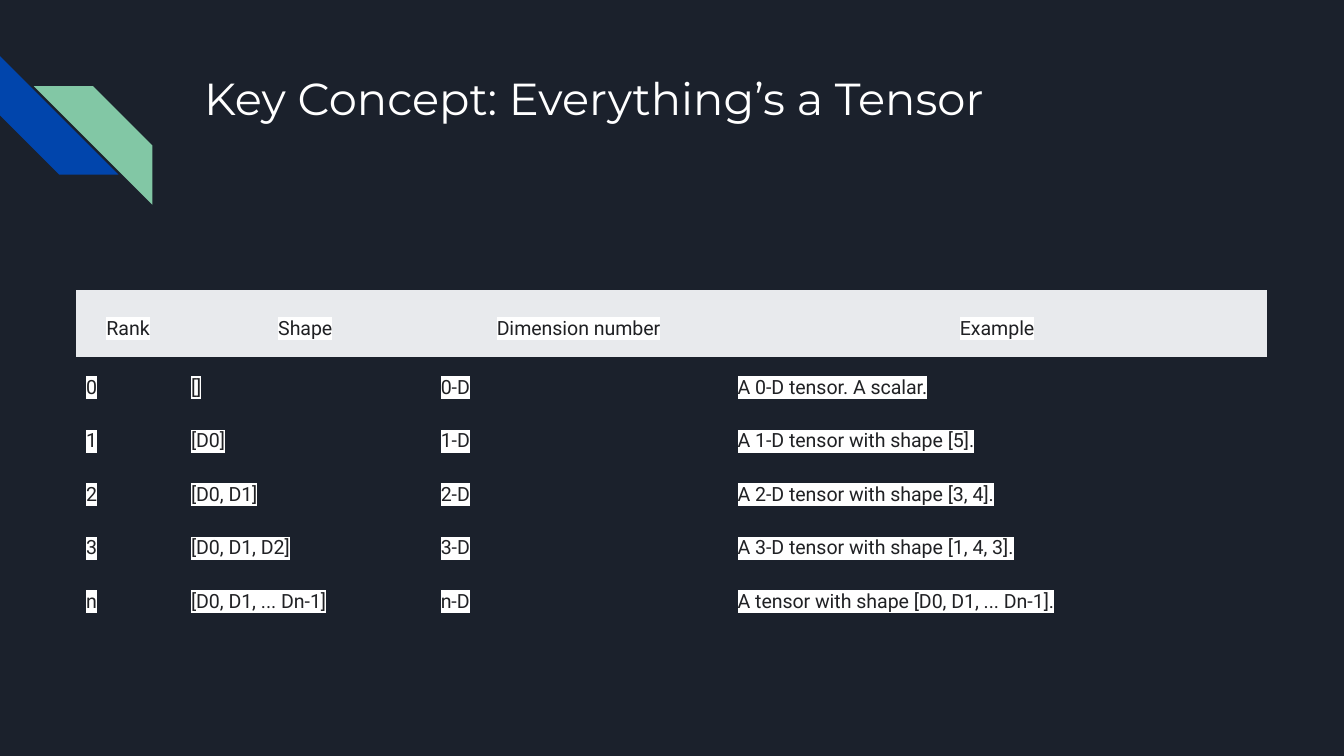
from dataclasses import dataclass

from lxml.etree import SubElement
from pptx import Presentation
from pptx.dml.color import RGBColor
from pptx.enum.shapes import MSO_SHAPE as Preset
from pptx.enum.text import MSO_ANCHOR as Anchor, PP_ALIGN as Align
from pptx.oxml.ns import qn
from pptx.util import Cm, Pt

COLORS = {
    "background": "1B212C",
    "blue": "0145AC",
    "green": "82C7A5",
    "white": "FFFFFF",
    "header": "E8EAED",
    "ink": "202124",
}
NO_GRID_STYLE = "{2D5ABB26-0587-4C30-8999-92F81FD0307C}"
COLUMN_WIDTHS = (1.98, 4.72, 5.61, 10.21)
HEADER_HEIGHT, ROW_HEIGHT = 1.27, 1.01
ROWS = (
    ("Rank", "Shape", "Dimension number", "Example"),
    ("0", "[]", "0-D", "A 0-D tensor. A scalar."),
    ("1", "[D0]", "1-D", "A 1-D tensor with shape [5]."),
    ("2", "[D0, D1]", "2-D", "A 2-D tensor with shape [3, 4]."),
    ("3", "[D0, D1, D2]", "3-D", "A 3-D tensor with shape [1, 4, 3]."),
    ("n", "[D0, D1, ... Dn-1]", "n-D", "A tensor with shape [D0, D1, ... Dn-1]."),
)


@dataclass
class Stripe:
    left: float
    top: float
    rotation: int
    color: str
    size: float = 2.24


STRIPES = (
    Stripe(0, 1.06, 270, "blue"),
    Stripe(0.64, 1.63, 90, "green"),
)


def rgb(name: str) -> RGBColor:
    return RGBColor.from_string(COLORS[name])


def style_font(font, face: str, size: float, color: str) -> None:
    font.name = face
    font.size = Pt(size)
    font.color.rgb = rgb(color)


def draw_stripe(page, stripe: Stripe) -> None:
    shape = page.shapes.add_shape(
        Preset.DIAGONAL_STRIPE, Cm(stripe.left), Cm(stripe.top),
        Cm(stripe.size), Cm(stripe.size))
    shape.rotation = stripe.rotation
    shape.shadow.inherit = False
    shape.fill.solid()
    shape.fill.fore_color.rgb = rgb(stripe.color)
    shape.line.fill.background()


def fill_cell(cell, text: str, is_header: bool) -> None:
    cell.margin_left = cell.margin_right = cell.margin_bottom = Cm(0.2)
    cell.margin_top = Cm(0.2 if is_header else 0.18)
    cell.vertical_anchor = Anchor.MIDDLE if is_header else Anchor.TOP
    if is_header:
        cell.fill.solid()
        cell.fill.fore_color.rgb = rgb("header")
    else:
        cell.fill.background()

    para = cell.text_frame.paragraphs[0]
    para.alignment = Align.CENTER if is_header else Align.LEFT
    para.line_spacing = 1.43
    style_font(para.font, "Roboto", 10.5, "ink")
    span = para.add_run()
    span.text = text
    highlight = SubElement(span.font._element, qn("a:highlight"))
    SubElement(highlight, qn("a:srgbClr"), val=COLORS["white"])


def draw_table(page, left: float, top: float) -> None:
    height = HEADER_HEIGHT + ROW_HEIGHT * (len(ROWS) - 1)
    frame = page.shapes.add_table(
        len(ROWS), len(COLUMN_WIDTHS), Cm(left), Cm(top),
        Cm(sum(COLUMN_WIDTHS)), Cm(height))
    table = frame.table
    table.first_row = table.horz_banding = False
    table._tbl.tblPr.find(qn("a:tableStyleId")).text = NO_GRID_STYLE
    for column, width in zip(table.columns, COLUMN_WIDTHS):
        column.width = Cm(width)
    for index, texts in enumerate(ROWS):
        is_header = index == 0
        table.rows[index].height = Cm(HEADER_HEIGHT if is_header else ROW_HEIGHT)
        for column, text in enumerate(texts):
            fill_cell(table.cell(index, column), text, is_header)


def draw_title(page, text: str) -> None:
    title = page.shapes.title
    title.left, title.top, title.width, title.height = (
        Cm(3.61), Cm(1.09), Cm(19.05), Cm(4.14))
    frame = title.text_frame
    frame.word_wrap = True
    frame.vertical_anchor = Anchor.TOP
    frame.margin_left = frame.margin_right = Cm(0.25)
    frame.margin_top = frame.margin_bottom = Cm(0.25)
    frame.text = text
    para = frame.paragraphs[0]
    para.alignment = Align.LEFT
    style_font(para.font, "Montserrat", 24, "white")


def main() -> None:
    deck = Presentation()
    deck.slide_width, deck.slide_height = Cm(25.4), Cm(14.29)
    page = deck.slides.add_slide(deck.slide_layouts[5])
    page.background.fill.solid()
    page.background.fill.fore_color.rgb = rgb("background")

    # Corner decoration
    for stripe in STRIPES:
        draw_stripe(page, stripe)

    # Title and tensor ranks
    draw_title(page, "Key Concept: Everything’s a Tensor")
    draw_table(page, 1.43, 5.48)

    deck.save("out.pptx")


if __name__ == "__main__":
    main()
